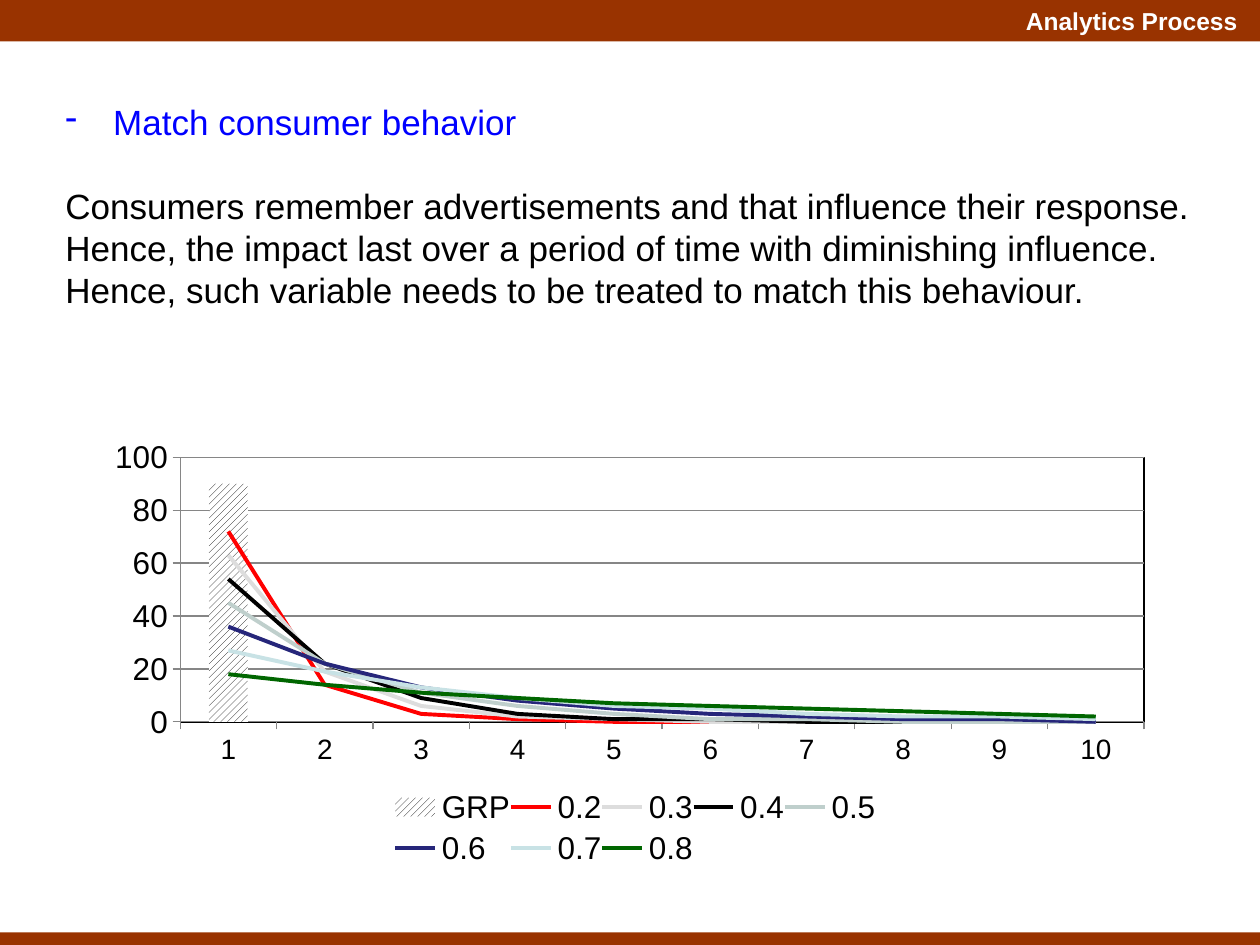
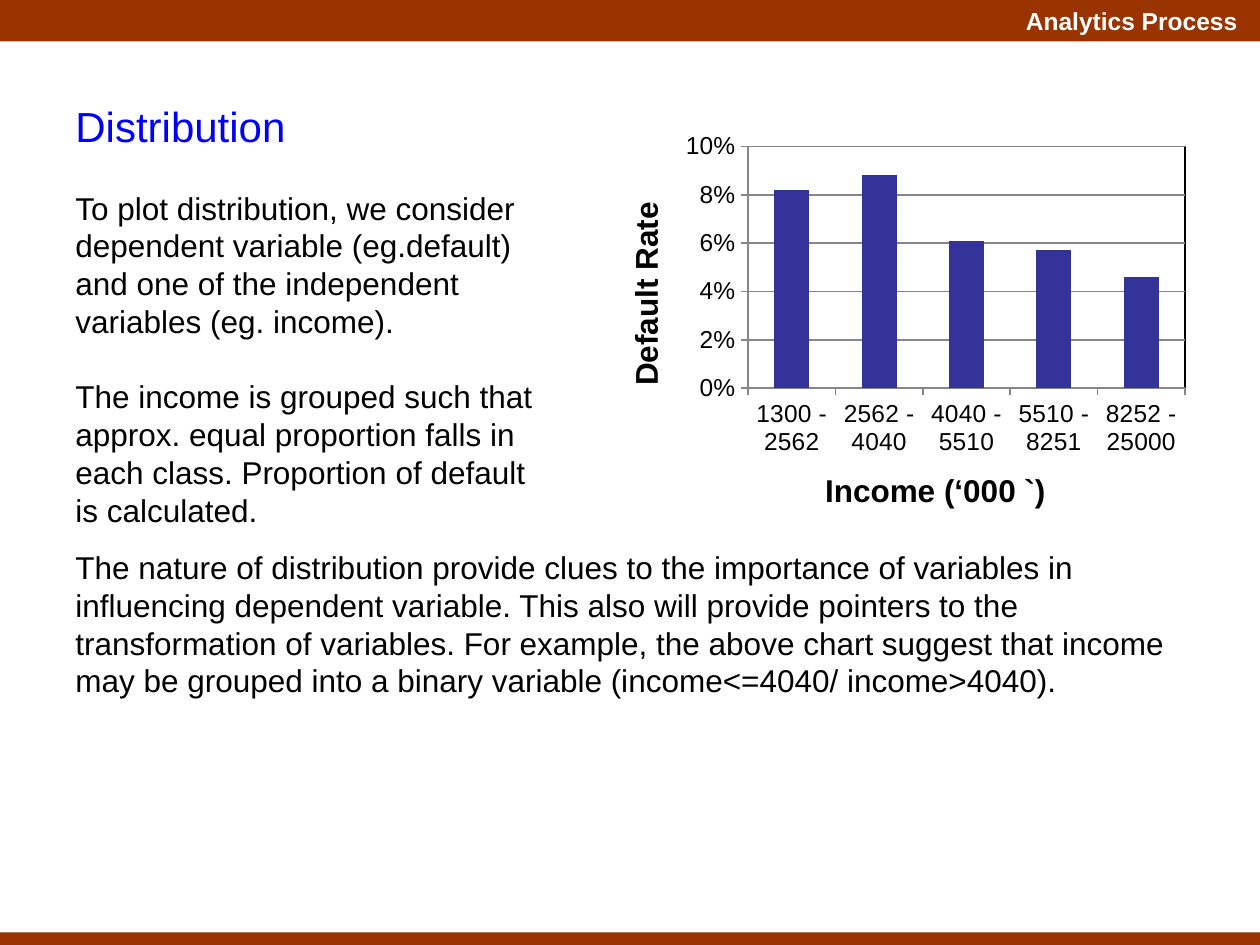
"""Builds two Analytics Process slides on consumer memory and distribution."""
from lxml import etree
from pptx import Presentation
from pptx.chart.data import CategoryChartData
from pptx.dml.color import RGBColor
from pptx.enum.chart import XL_CHART_TYPE, XL_LEGEND_POSITION, XL_MARKER_STYLE, XL_TICK_MARK
from pptx.enum.dml import MSO_PATTERN
from pptx.enum.shapes import MSO_SHAPE
from pptx.enum.text import PP_ALIGN
from pptx.oxml import parse_xml
from pptx.oxml.ns import nsdecls, qn
from pptx.util import Inches, Pt

COLUMN = XL_CHART_TYPE.COLUMN_CLUSTERED
BOTTOM = XL_LEGEND_POSITION.BOTTOM
PLAIN = XL_MARKER_STYLE.NONE
OUT = XL_TICK_MARK.OUTSIDE
HATCH = MSO_PATTERN.WIDE_UPWARD_DIAGONAL
RECT = MSO_SHAPE.RECTANGLE
LEFT, RIGHT = PP_ALIGN.LEFT, PP_ALIGN.RIGHT
FONT = "Arial"
HEX = {"band": "993300", "head": "0000FF", "ink": "000000", "paper": "FFFFFF",
       "grid": "868686", "bar": "333399"}
INK = {name: RGBColor.from_string(code) for name, code in HEX.items()}


def write(slide, box, lines, size=18, bold=False, align=LEFT):
    """Adds a text box; each line is (text, colour, size or None, space before, bullet)."""
    frame = slide.shapes.add_textbox(*map(Inches, box)).text_frame
    frame.word_wrap = True
    for i, (words, ink, own, gap, mark) in enumerate(lines):
        para = frame.paragraphs[0] if i == 0 else frame.add_paragraph()
        if mark:
            props = para._p.get_or_add_pPr()
            props.set("marL", str(Inches(0.38)))
            props.set("indent", str(-Inches(0.38)))
            etree.SubElement(props, qn("a:buChar")).set("char", mark)
        para.alignment = align
        para.space_before = Pt(gap)
        run = para.add_run()
        run.text = words
        run.font.name, run.font.size, run.font.bold = FONT, Pt(own or size), bold
        run.font.color.rgb = INK[ink]


def plot(slide, box, cats, rows, places, top, step, form, sizes, rule):
    """Adds a column chart with a ruled plot area; places maps XML parts to manual layouts."""
    data = CategoryChartData(number_format=form)
    data.categories = cats
    for name, vals in rows:
        data.add_series(name, vals)
    chart = slide.shapes.add_chart(COLUMN, *map(Inches, box), data).chart
    chart.has_title = False
    chart.font.name, chart.font.size = FONT, Pt(18)
    chart.font.color.rgb = INK["ink"]
    chart.plots[0].gap_width = 150
    chart.plots[0].vary_by_categories = False
    chart.has_legend = "legend" in places
    if chart.has_legend:
        chart.legend.position = BOTTOM
        chart.legend.include_in_layout = False
    cat, val = chart.category_axis, chart.value_axis
    val.minimum_scale, val.maximum_scale, val.major_unit = 0, top, step
    val.has_major_gridlines = True
    val.tick_labels.number_format = form
    val.tick_labels.number_format_is_linked = False
    for axis, size in zip((cat, val), sizes):
        axis.major_tick_mark = OUT
        axis.tick_labels.font.size = Pt(size)
    for line in (cat.format.line, val.format.line, val.major_gridlines.format.line):
        line.color.rgb = INK["grid"]
        line.width = Pt(rule)
    for part, spot in places.items():
        node = chart._chartSpace.find(".//" + qn("c:" + part))
        for old in node.findall(qn("c:layout")):
            node.remove(old)
        inner = '<c:layoutTarget val="inner"/>' if part == "plotArea" else ""
        modes = "".join(f'<c:{k}Mode val="edge"/>' for k in "xy")
        sides = "".join(f'<c:{k} val="{v}"/>' for k, v in zip("xywh", spot))
        node.insert(0 if inner else 1, parse_xml(
            f'<c:layout {nsdecls("c")}><c:manualLayout>{inner}{modes}{sides}'
            '</c:manualLayout></c:layout>'))
        if inner:
            node.append(parse_xml(
                f'<c:spPr {nsdecls("c", "a")}><a:noFill/><a:ln w="{Pt(rule)}"><a:solidFill>'
                f'<a:srgbClr val="{HEX["ink"]}"/></a:solidFill></a:ln></c:spPr>'))
    return chart


deck = Presentation()
deck.slide_width, deck.slide_height = Inches(10), Inches(7.5)
slides = [deck.slides.add_slide(deck.slide_layouts[6]) for _ in range(2)]
for slide in slides:
    for y, high in ((0, 0.33), (7.4, 0.1)):
        band = slide.shapes.add_shape(RECT, 0, Inches(y), Inches(10), Inches(high))
        band.shadow.inherit = False
        band.fill.solid()
        band.fill.fore_color.rgb = INK["band"]
        band.line.fill.background()
    write(slide, (5.74, 0, 4.18, 0.33), [("Analytics Process", "paper", None, 0, None)],
          size=14, bold=True, align=RIGHT)
first, second = slides

write(first, (0.42, 0.75, 9.25, 1.78), [
    ("Match consumer behavior", "head", None, 0, "-"),
    ("Consumers remember advertisements and that influence their response. Hence, the impact "
     "last over a period of time with diminishing influence. Hence, such variable needs to be "
     "treated to match this behaviour.", "ink", None, 24, None)], size=20)

decay = [("0.2", "FF0000", (72, 14, 3, 1, 0, 0, 0, 0, 0, 0)),
         ("0.3", "DDDDDD", (63, 19, 6, 2, 1, 0, 0, 0, 0, 0)),
         ("0.4", "000000", (54, 22, 9, 3, 1, 1, 0, 0, 0, 0)),
         ("0.5", "BFCFCC", (45, 22, 11, 6, 3, 1, 1, 0, 0, 0)),
         ("0.6", "26267A", (36, 22, 13, 8, 5, 3, 2, 1, 1, 0)),
         ("0.7", "C8E2E5", (27, 19, 13, 9, 6, 5, 3, 2, 2, 1)),
         ("0.8", "006600", (18, 14, 11, 9, 7, 6, 5, 4, 3, 2))]
rows = [("GRP", [90] + [None] * 9)] + [(name, vals) for name, _, vals in decay]
chart = plot(first, (0.75, 3.42, 8.5, 3.5), [str(n) for n in range(1, 11)], rows,
             {"plotArea": (0.08, 0.06, 0.9, 0.6), "legend": (0.28, 0.8, 0.45, 0.2)},
             100, 20, "General", (16, 18), 0.75)
fill = chart.plots[0].series[0].format.fill
fill.patterned()
fill.pattern = HATCH
fill.fore_color.rgb, fill.back_color.rgb = INK["ink"], INK["paper"]

bars = chart._chartSpace.find(".//" + qn("c:barChart"))
curves = parse_xml(f'<c:lineChart {nsdecls("c")}><c:grouping val="standard"/>'
                   '<c:varyColors val="0"/></c:lineChart>')
bars.addnext(curves)
for ser in bars.findall(qn("c:ser"))[1:]:
    for flag in ser.findall(qn("c:invertIfNegative")):
        ser.remove(flag)
    curves.append(ser)
etree.SubElement(curves, qn("c:marker")).set("val", "1")
for axis in bars.findall(qn("c:axId")):
    etree.SubElement(curves, qn("c:axId")).set("val", axis.get("val"))
for curve, (_, tone, _) in zip(chart.plots[1].series, decay):
    curve.smooth = False
    curve.marker.style = PLAIN
    curve.format.line.color.rgb = RGBColor.from_string(tone)
    curve.format.line.width = Pt(2.25)

cats = ["1300 - 2562", "2562 - 4040", "4040 - 5510", "5510 - 8251", "8252 - 25000"]
chart = plot(second, (4.75, 1, 4.75, 3.25), cats,
             [("Series 1", (0.082, 0.088, 0.061, 0.057, 0.046))],
             {"plotArea": (0.25, 0.05, 0.73, 0.59)}, 0.1, 0.02, "0%", (14, 14), 1)
fill = chart.plots[0].series[0].format.fill
fill.solid()
fill.fore_color.rgb = INK["bar"]
for axis, label in ((chart.category_axis, "Income (‘000 `)"), (chart.value_axis, "Default Rate")):
    frame = axis.axis_title.text_frame
    frame.text = label
    font = frame.paragraphs[0].runs[0].font
    font.name, font.size, font.bold = FONT, Pt(18), True
    font.color.rgb = INK["ink"]

write(second, (0.5, 0.75, 4, 3.53), [
    ("Distribution", "head", 24, 0, None),
    ("To plot distribution, we consider dependent variable (eg.default) and one of the "
     "independent variables (eg. income).", "ink", None, 21.5, None),
    ("The income is grouped such that approx. equal proportion falls in each class. "
     "Proportion of default is calculated.", "ink", None, 21.5, None)])
write(second, (0.5, 4.3, 9, 1.31), [
    ("The nature of distribution provide clues to the importance of variables in influencing "
     "dependent variable. This also will provide pointers to the transformation of variables. "
     "For example, the above chart suggest that income may be grouped into a binary variable "
     "(income<=4040/ income>4040).", "ink", None, 0, None)])

deck.save("out.pptx")
